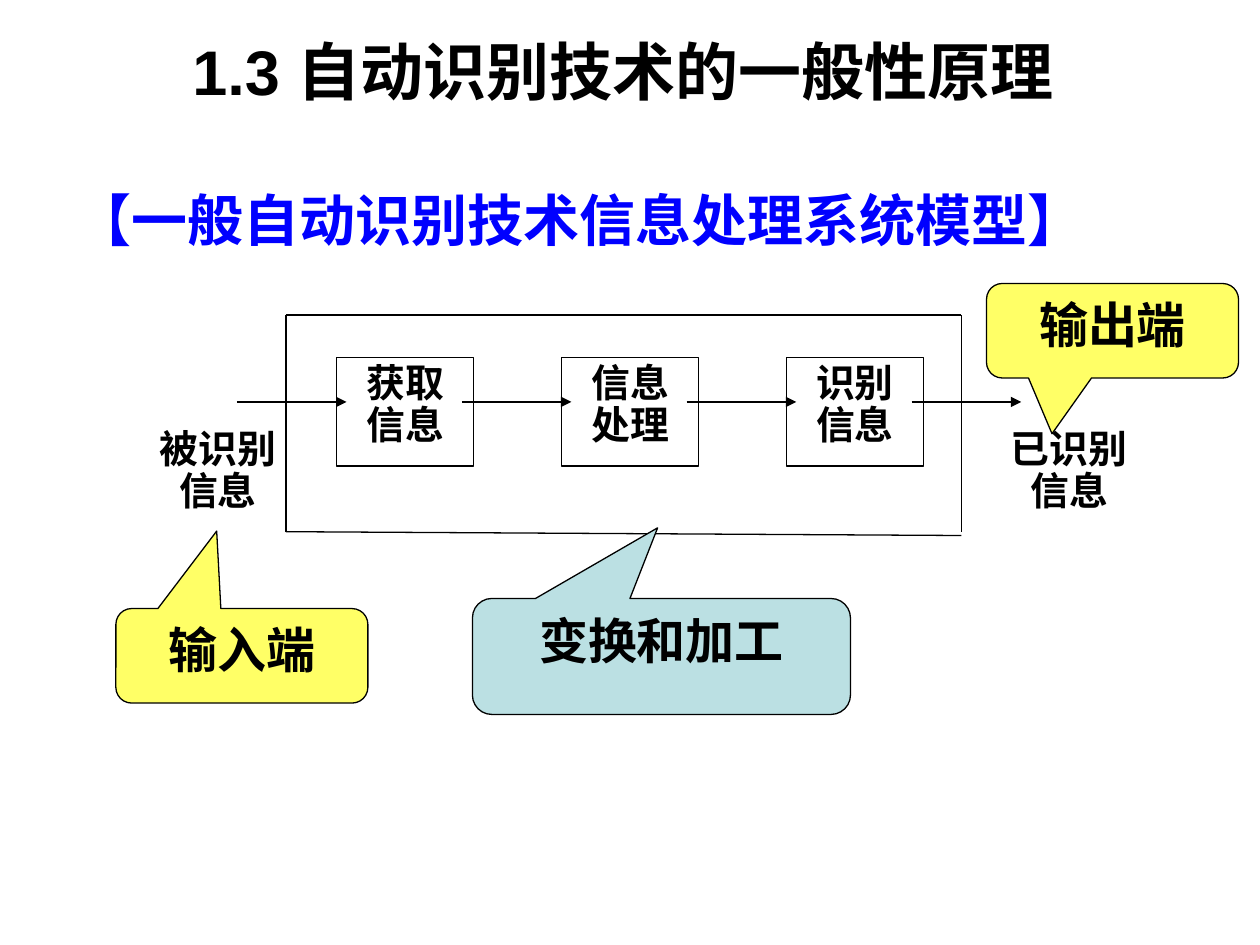
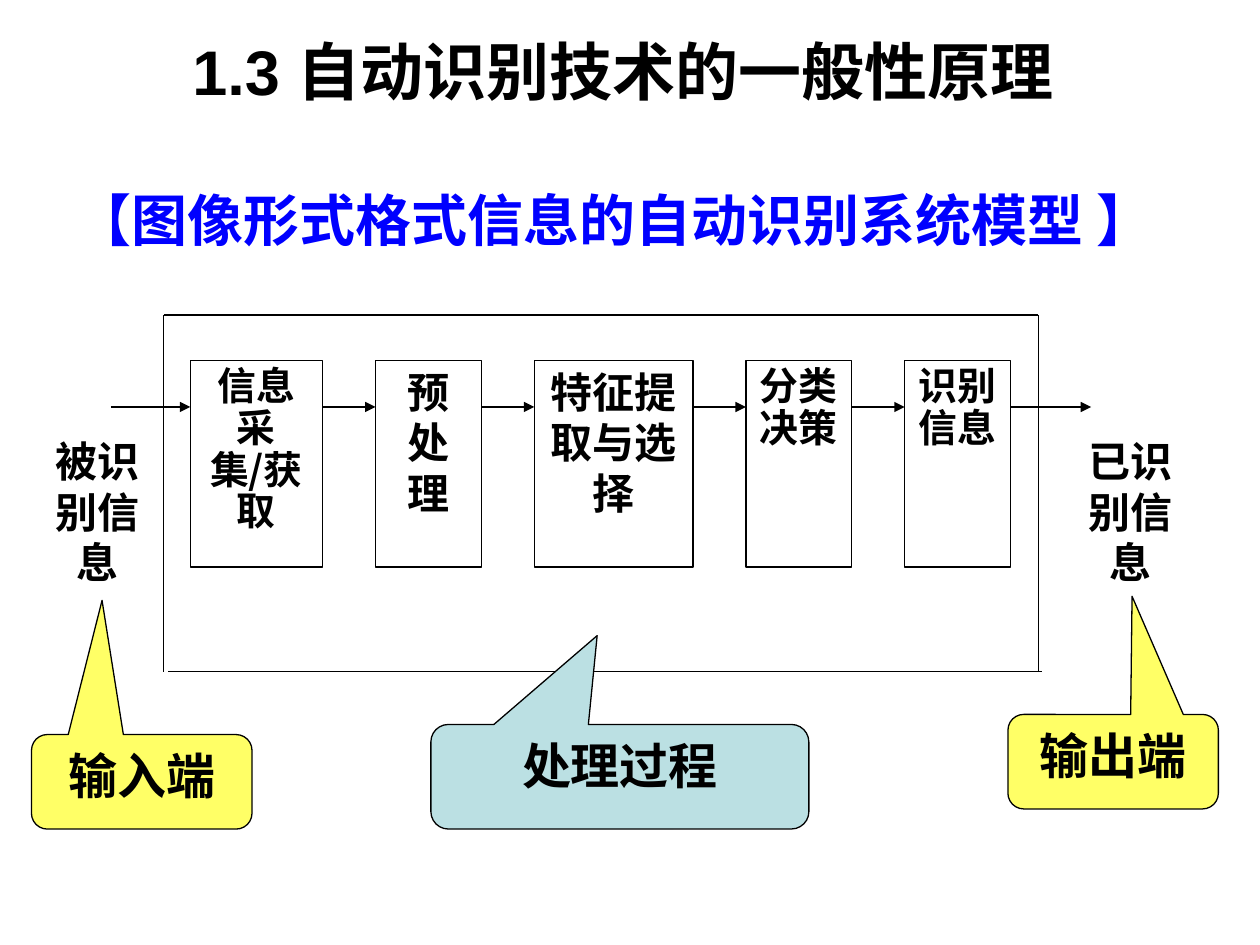
from lxml import etree
from pptx import Presentation
from pptx.dml.color import RGBColor
from pptx.enum.shapes import MSO_CONNECTOR, MSO_SHAPE
from pptx.enum.text import MSO_ANCHOR, PP_ALIGN
from pptx.oxml.ns import qn
from pptx.util import Inches, Pt

# Shared look
BLACK, WHITE, BLUE = "000000", "FFFFFF", "0000FF"
YELLOW, TEAL = "FFFF66", "BBE0E3"
LATIN, SERIF, CJK = "Arial", "Times New Roman", "Noto Sans CJK SC"
LINE_WIDTH = Pt(0.75)
TITLE = "1.3 自动识别技术的一般性原理 "
FRAME_TOP = 2.5


def add_block(slide, place, text, size, font, fill=None, line=None, kind=None,
              color=BLACK, align=PP_ALIGN.CENTER, anchor=MSO_ANCHOR.TOP, spacing=None):
    """Add a text box, or a preset shape when kind is given, with one bold run."""
    box = [Inches(length) for length in place]
    if kind is None:
        shape = slide.shapes.add_textbox(*box)
    else:
        shape = slide.shapes.add_shape(kind, *box)
        shape.shadow.inherit = False
        shape.fill.solid()
        shape.fill.fore_color.rgb = RGBColor.from_string(fill)
        if line:
            shape.line.color.rgb = RGBColor.from_string(line)
            shape.line.width = LINE_WIDTH
        else:
            shape.line.fill.background()
    frame = shape.text_frame
    frame.word_wrap = True
    frame.vertical_anchor = anchor
    paragraph = frame.paragraphs[0]
    paragraph.alignment = align
    paragraph.line_spacing = spacing
    run = paragraph.add_run()
    run.text = text
    run.font.size = Pt(size)
    run.font.bold = True
    run.font.name = font
    run.font.color.rgb = RGBColor.from_string(color)
    etree.SubElement(run.font._element, qn("a:ea")).set("typeface", CJK)
    return shape


def add_line(slide, x1, y1, x2, y2, arrow=False):
    """Add a thin black line, with an arrowhead at its end if asked."""
    connector = slide.shapes.add_connector(
        MSO_CONNECTOR.STRAIGHT, Inches(x1), Inches(y1), Inches(x2), Inches(y2))
    connector.line.color.rgb = RGBColor.from_string(BLACK)
    connector.line.width = LINE_WIDTH
    if arrow:
        line_element = connector.line._get_or_add_ln()
        etree.SubElement(line_element, qn("a:tailEnd")).set("type", "triangle")
    etree.SubElement(connector._element.spPr, qn("a:effectLst"))


# General model: three equal steps at an equal pitch, arrows overlapping the boxes
step_pitch = (6.24 - 2.67) / 2
general_model = {
    "heading": "【一般自动识别技术信息处理系统模型】",
    "font": SERIF,
    "steps": [(2.67 + i * step_pitch, 1.09, text, 22.2)
              for i, text in enumerate(["获取信息", "信息处理", "识别信息"])],
    "step_rows": (2.84, 0.86),
    "labels": [((1.08, 3.36, 1.3, 0.86), "被识别信息"),
               ((7.83, 3.36, 1.31, 0.86), "已识别信息")],
    "label_size": 22.2,
    "frame": (2.27, 7.63, 4.22),
    "frame_bottom": (7.63, 4.25, 2.27, 4.22),
    "arrow_y": 3.19,
    "arrows": [(1.88 + i * step_pitch, 2.75 + i * step_pitch) for i in range(4)],
    "callouts": [((0.92, 4.83, 2, 0.75), "输入端", YELLOW, (-0.1, -1.32)),
                 ((7.83, 2.25, 2, 0.75), "输出端", YELLOW, (-0.24, 1.09)),
                 ((3.75, 4.75, 3, 0.92), "变换和加工", TEAL, (-0.01, -1.11))],
}

# Image model: steps of different widths with an equal gap, arrows filling the gaps
image_steps = []
step_left = 1.51
for width, text, size in [(1.05, "信息采集/获取", 22.2), (0.84, "预处理", 24),
                          (1.26, "特征提取与选择", 24), (0.84, "分类决策", 22.2),
                          (0.84, "识别信息", 22.2)]:
    image_steps.append((step_left, width, text, size))
    step_left += width + 0.42
arrow_starts = [0.88] + [left + width for left, width, _, _ in image_steps]
arrow_ends = [left for left, _, _, _ in image_steps] + [8.66]
image_model = {
    "heading": "【图像形式格式信息的自动识别系统模型 】",
    "font": CJK,
    "steps": image_steps,
    "step_rows": (2.86, 1.64),
    "labels": [((0.25, 3.41, 1.05, 1.41), "被识别信息"),
               ((8.45, 3.41, 1.05, 1.41), "已识别信息")],
    "label_size": 24,
    "frame": (1.3, 8.24, 5.33),
    "frame_bottom": (8.27, 5.33, 1.33, 5.33),
    "arrow_y": 3.23,
    "arrows": list(zip(arrow_starts, arrow_ends)),
    "callouts": [((0.25, 5.83, 1.75, 0.75), "输入端", YELLOW, (-0.18, -1.92)),
                 ((8, 5.67, 1.67, 0.75), "输出端", YELLOW, (0.09, -1.75)),
                 ((3.42, 5.75, 3, 0.83), "处理过程", TEAL, (-0.06, -1.35))],
}

presentation = Presentation()
presentation.slide_width = Inches(10)
presentation.slide_height = Inches(7.5)

for model in (general_model, image_model):
    slide = presentation.slides.add_slide(presentation.slide_layouts[6])

    # Title and heading
    add_block(slide, (0.5, 0.08, 9, 0.95), TITLE, 36, LATIN, anchor=MSO_ANCHOR.MIDDLE)
    add_block(slide, (0.5, 1.42, 9, 0.8), model["heading"], 32, CJK,
              color=BLUE, align=PP_ALIGN.LEFT)

    # Input and output labels, then processing steps; smaller text is set tighter
    top, height = model["step_rows"]
    blocks = [(place, text, model["label_size"], None) for place, text in model["labels"]]
    blocks += [((left, top, width, height), text, size, BLACK)
               for left, width, text, size in model["steps"]]
    for place, text, size, outline in blocks:
        add_block(slide, place, text, size, model["font"], WHITE, outline,
                  MSO_SHAPE.RECTANGLE, spacing=0.9 if size < 24 else None)

    # System frame
    left, right, bottom = model["frame"]
    add_line(slide, left, FRAME_TOP, right, FRAME_TOP)
    add_line(slide, left, FRAME_TOP, left, bottom)
    add_line(slide, right, FRAME_TOP, right, bottom)
    add_line(slide, *model["frame_bottom"])

    # Flow arrows
    for start, end in model["arrows"]:
        add_line(slide, start, model["arrow_y"], end, model["arrow_y"], arrow=True)

    # Callouts
    for place, text, fill, tip in model["callouts"]:
        callout = add_block(slide, place, text, 28, LATIN, fill, BLACK,
                            MSO_SHAPE.ROUNDED_RECTANGULAR_CALLOUT)
        callout.adjustments[0], callout.adjustments[1] = tip

presentation.save("out.pptx")
